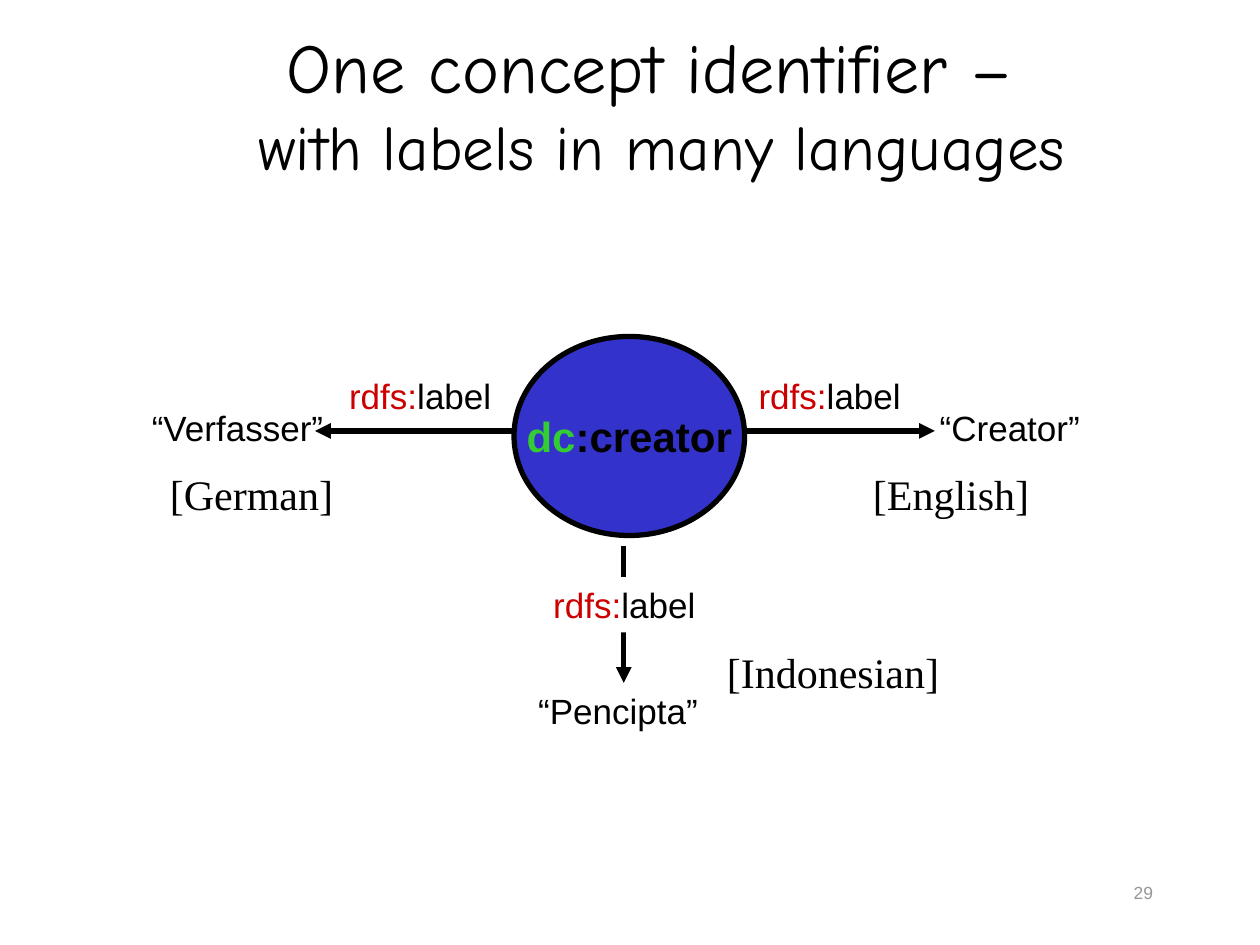
from dataclasses import dataclass

from pptx import Presentation
from pptx.dml.color import RGBColor
from pptx.enum.shapes import MSO_CONNECTOR, MSO_SHAPE
from pptx.enum.text import MSO_ANCHOR, MSO_AUTO_SIZE, PP_ALIGN
from pptx.oxml.ns import qn
from pptx.util import Inches, Pt
from lxml import etree

LINE = MSO_CONNECTOR.STRAIGHT
OVAL = MSO_SHAPE.OVAL
TOP, MIDDLE, BOTTOM = MSO_ANCHOR.TOP, MSO_ANCHOR.MIDDLE, MSO_ANCHOR.BOTTOM
LEFT, CENTER, RIGHT = PP_ALIGN.LEFT, PP_ALIGN.CENTER, PP_ALIGN.RIGHT
FIXED, GROW = MSO_AUTO_SIZE.NONE, MSO_AUTO_SIZE.SHAPE_TO_FIT_TEXT


@dataclass(frozen=True)
class Theme:
    black: RGBColor = RGBColor(0x00, 0x00, 0x00)
    white: RGBColor = RGBColor(0xFF, 0xFF, 0xFF)
    blue: RGBColor = RGBColor(0x33, 0x33, 0xCC)
    green: RGBColor = RGBColor(0x33, 0xCC, 0x33)
    red: RGBColor = RGBColor(0xCC, 0x00, 0x00)
    gray: RGBColor = RGBColor(0x96, 0x96, 0x96)
    head: Pt = Pt(40)
    sub: Pt = Pt(36)
    large: Pt = Pt(24)
    label: Pt = Pt(20)
    small: Pt = Pt(10)
    stroke: Pt = Pt(3)
    hand: str = "Comic Neue"
    sans: str = "Arial"
    serif: str = "Times New Roman"


theme = Theme()


def write(shape, runs, size, face=theme.sans, align=CENTER, anchor=MIDDLE, fit=GROW):
    frame = shape.text_frame
    frame.word_wrap = False
    frame.auto_size = fit
    frame.vertical_anchor = anchor
    para = frame.paragraphs[0]
    para.alignment = align
    para.font.size = size
    para.font.name = face
    for words, color in runs:
        run = para.add_run()
        run.text = words
        run.font.color.rgb = color
    return para


def arrow(shapes, start, end):
    line = shapes.add_connector(LINE, *map(Inches, start + end))
    line.line.color.rgb = theme.black
    line.line.width = theme.stroke
    props = line.line._get_or_add_ln()
    etree.SubElement(props, qn("a:tailEnd"), type="triangle")
    etree.SubElement(line._element.spPr, qn("a:effectLst"))


deck = Presentation()
deck.slide_width, deck.slide_height = Inches(10), Inches(7.5)
slide = deck.slides.add_slide(deck.slide_layouts[5])

title = slide.shapes.title
title.left, title.top = Inches(1.75), Inches(0.25)
title.width, title.height = Inches(7), Inches(1.25)
frame = title.text_frame
frame.auto_size = FIXED
frame.word_wrap = True
frame.vertical_anchor = BOTTOM
para = frame.paragraphs[0]
para.alignment = CENTER
para.font.name = theme.hand
para.font.color.rgb = theme.black
first = para.add_run()
first.text = "One concept identifier – "
first.font.size = theme.head
para.add_line_break()
second = para.add_run()
second.text = "with labels in many languages"
second.font.size = theme.sub

number = slide.shapes.add_textbox(Inches(7.17), Inches(6.83), Inches(2.08), Inches(0.5))
write(number, [("29", theme.gray)], theme.small, align=RIGHT, fit=FIXED)

concept = slide.shapes.add_shape(OVAL, Inches(4.08), Inches(2.67), Inches(1.83), Inches(1.58))
concept.shadow.inherit = False
concept.fill.solid()
concept.fill.fore_color.rgb = theme.blue
concept.line.color.rgb = theme.black
concept.line.width = theme.stroke
name = write(concept, [("dc", theme.green), (":creator", theme.black)], theme.large, fit=FIXED)
name.font.bold = True

branches = [
    ("“Verfasser”", (1.09, 3.17, 1.59), "[German]", (1.25, 3.67, 1.52),
     (2.66, 2.92), (4.08, 3.42), (2.5, 3.42)),
    ("“Pencipta”", (4.16, 5.42, 1.49), "[Indonesian]", (5.67, 5.08, 1.91),
     (4.28, 4.58), (4.95, 4.33), (4.95, 5.42)),
    ("“Creator”", (7.35, 3.17, 1.33), "[English]", (6.83, 3.67, 1.47),
     (5.91, 2.92), (5.92, 3.42), (7.42, 3.42)),
]
for word, spot, tongue, place, tag, start, end in branches:
    shapes = slide.shapes.add_group_shape().shapes
    arrow(shapes, start, end)
    box = shapes.add_textbox(*map(Inches, spot + (0.44,)))
    write(box, [(word, theme.black)], theme.label)
    box = shapes.add_textbox(*map(Inches, tag + (1.35, 0.44)))
    write(box, [("rdfs:", theme.red), ("label", theme.black)], theme.label)
    if start[0] == end[0]:
        box.fill.solid()
        box.fill.fore_color.rgb = theme.white
    box = shapes.add_textbox(*map(Inches, place + (0.5,)))
    write(box, [(tongue, theme.black)], theme.large, theme.serif, LEFT, TOP)

deck.save("out.pptx")
